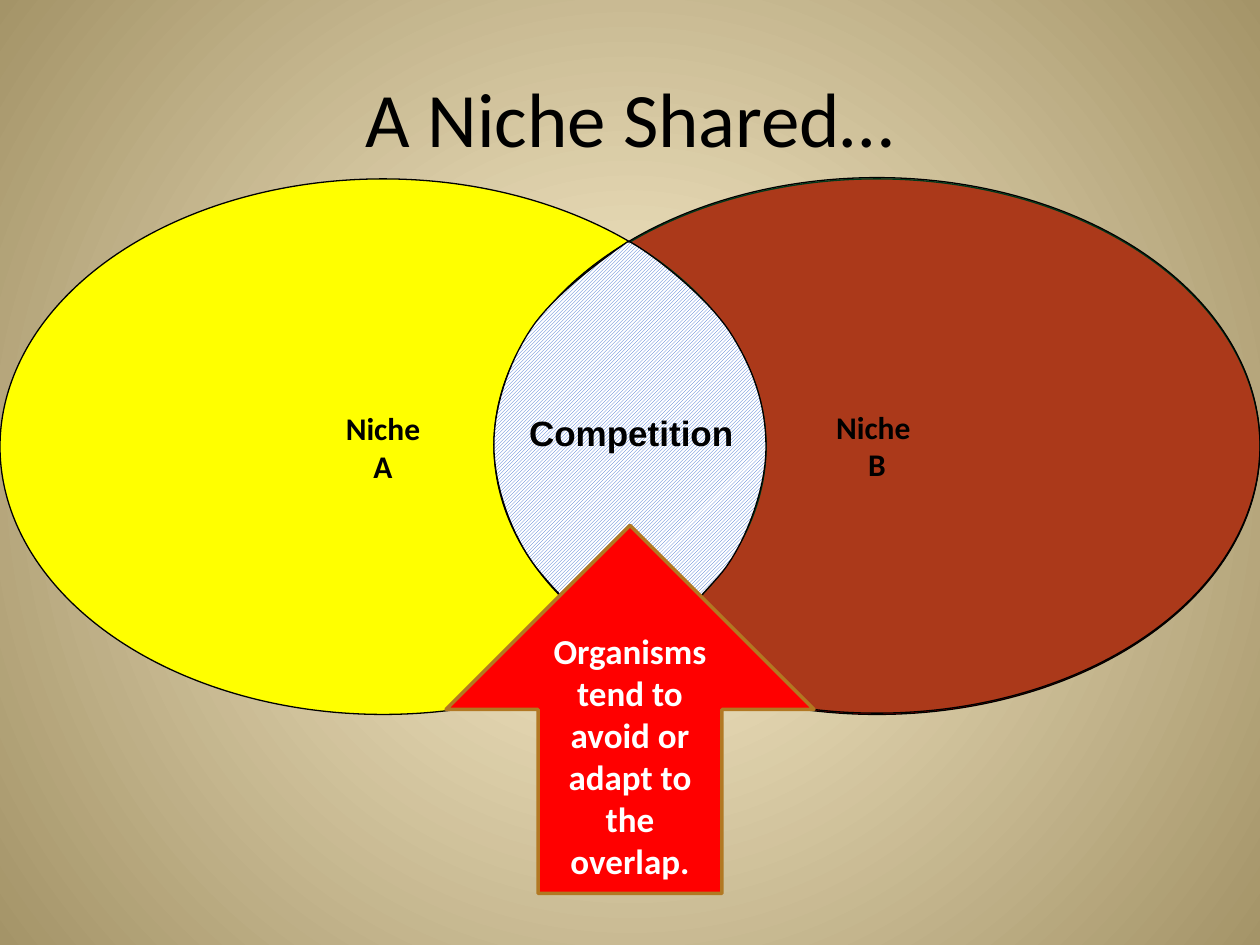
from lxml import etree
from pptx import Presentation
from pptx.dml.color import RGBColor
from pptx.enum.dml import MSO_PATTERN
from pptx.enum.shapes import MSO_SHAPE as Shape
from pptx.enum.text import MSO_ANCHOR as Anchor, MSO_AUTO_SIZE as AutoSize, PP_ALIGN as Align
from pptx.oxml.ns import qn
from pptx.util import Inches, Pt

THEME = {
    "black": "000000", "white": "FFFFFF", "red": "FF0000", "yellow": "FFFF00",
    "green": "00B050", "hatch": "3366CC", "arrow_line": "B27822",
    "glow": "FFF3D2", "edge": "A49468",
    "font": "Calibri", "label_font": "Arial",
    "title": 44, "niche": 18, "label": 20,
}

TITLE = "A Niche Shared…"
OVERLAP_LABEL = "Competition"
ADVICE = "Organisms tend to avoid or adapt to the overlap."

# left, top, fill, opacity in percent, text lines
NICHES = [
    (3.92, 1.42, "red", 100, []),
    (0, 1.42, "yellow", 100, ["Niche", "A"]),
    (3.92, 1.41, "green", 33, ["Niche ", "B"]),
]
NICHE_SIZE = (6.08, 4.25)

# Outline of the overlap: a start point, then Bézier curves (two controls, end)
OVERLAP_START = (4.98, 1.92)
OVERLAP_CURVES = [
    ((4.78, 2.06), (4.45, 2.3), (4.25, 2.56)),
    ((4.06, 2.82), (3.92, 3.2), (3.92, 3.53)),
    ((3.92, 3.86), (4.06, 4.25), (4.26, 4.51)),
    ((4.47, 4.77), (4.64, 4.92), (5, 5.18)),
    ((5.31, 5.02), (5.52, 4.78), (5.7, 4.58)),
    ((5.89, 4.37), (6.08, 3.91), (6.08, 3.55)),
    ((6.08, 3.2), (5.97, 2.91), (5.79, 2.63)),
    ((5.61, 2.36), (5.2, 2.03), (5, 1.92)),
]
CURVE_STEPS = 16


def color(name):
    return RGBColor.from_string(THEME[name])


def write(shape, lines, size, font="font", ink="black", bold=True, align=Align.CENTER):
    frame = shape.text_frame
    for index, line in enumerate(lines):
        paragraph = frame.paragraphs[0] if index == 0 else frame.add_paragraph()
        paragraph.alignment = align
        run = paragraph.add_run()
        run.text = line
        run.font.name = THEME[font]
        run.font.size = Pt(THEME[size])
        run.font.bold = bold
        run.font.color.rgb = color(ink)


def outline(shape, ink="black", width=0.75):
    shape.shadow.inherit = False
    shape.line.color.rgb = color(ink)
    shape.line.width = Pt(width)


def fill_solid(shape, name, opacity=100):
    shape.fill.solid()
    shape.fill.fore_color.rgb = color(name)
    if opacity < 100:
        node = shape.fill._xPr.find(qn("a:solidFill"))[0]
        etree.SubElement(node, qn("a:alpha")).set("val", str(opacity * 1000))


def paint_background(slide):
    """Radial gradient from a light centre to darker corners."""
    fill = slide.background.fill
    fill.gradient()
    for stop, name, position in zip(fill.gradient_stops, ("glow", "edge"), (0, 1)):
        stop.color.rgb = color(name)
        stop.position = position
    gradient = fill._xPr.find(qn("a:gradFill"))
    linear = gradient.find(qn("a:lin"))
    radial = etree.Element(qn("a:path"), {"path": "circle"})
    etree.SubElement(radial, qn("a:fillToRect"), dict.fromkeys("ltrb", "50000"))
    gradient.replace(linear, radial)


def curve_points(start, curves):
    for first, second, end in curves:
        for step in range(1, CURVE_STEPS + 1):
            t = step / CURVE_STEPS
            u = 1 - t
            yield tuple(
                Inches(u**3 * a + 3 * u * u * t * b + 3 * u * t * t * c + t**3 * d)
                for a, b, c, d in zip(start, first, second, end)
            )
        start = end


def add_niche(slide, left, top, fill, opacity, lines):
    niche = slide.shapes.add_shape(
        Shape.OVAL, Inches(left), Inches(top), *map(Inches, NICHE_SIZE))
    fill_solid(niche, fill, opacity)
    outline(niche)
    niche.text_frame.word_wrap = False
    niche.text_frame.vertical_anchor = Anchor.MIDDLE
    write(niche, lines, "niche")


def add_overlap(slide):
    builder = slide.shapes.build_freeform(*map(Inches, OVERLAP_START))
    builder.add_line_segments(list(curve_points(OVERLAP_START, OVERLAP_CURVES)), close=True)
    overlap = builder.convert_to_shape()
    overlap.fill.patterned()
    overlap.fill.pattern = MSO_PATTERN.DARK_UPWARD_DIAGONAL
    overlap.fill.fore_color.rgb = color("hatch")
    overlap.fill.back_color.rgb = color("white")
    outline(overlap)

    label = slide.shapes.add_textbox(Inches(4.1), Inches(3.22), Inches(1.82), Inches(0.43))
    label.text_frame.word_wrap = False
    label.text_frame.auto_size = AutoSize.SHAPE_TO_FIT_TEXT
    write(label, [OVERLAP_LABEL], "label", font="label_font", align=Align.LEFT)


def add_advice(slide):
    arrow = slide.shapes.add_shape(
        Shape.UP_ARROW, Inches(3.54), Inches(4.17), Inches(2.92), Inches(2.92))
    fill_solid(arrow, "red")
    outline(arrow, "arrow_line", 2)
    arrow.text_frame.word_wrap = True
    arrow.text_frame.vertical_anchor = Anchor.MIDDLE
    write(arrow, [ADVICE], "label", ink="white")


def main():
    presentation = Presentation()
    presentation.slide_width, presentation.slide_height = Inches(10), Inches(7.5)
    slide = presentation.slides.add_slide(presentation.slide_layouts[5])
    paint_background(slide)

    title = slide.shapes.title
    title.left, title.top, title.width, title.height = map(Inches, (0.5, 0.3, 9, 1.25))
    title.text_frame.vertical_anchor = Anchor.MIDDLE
    write(title, [TITLE], "title", bold=False)

    for niche in NICHES:
        add_niche(slide, *niche)
    add_overlap(slide)
    add_advice(slide)
    presentation.save("out.pptx")


if __name__ == "__main__":
    main()
